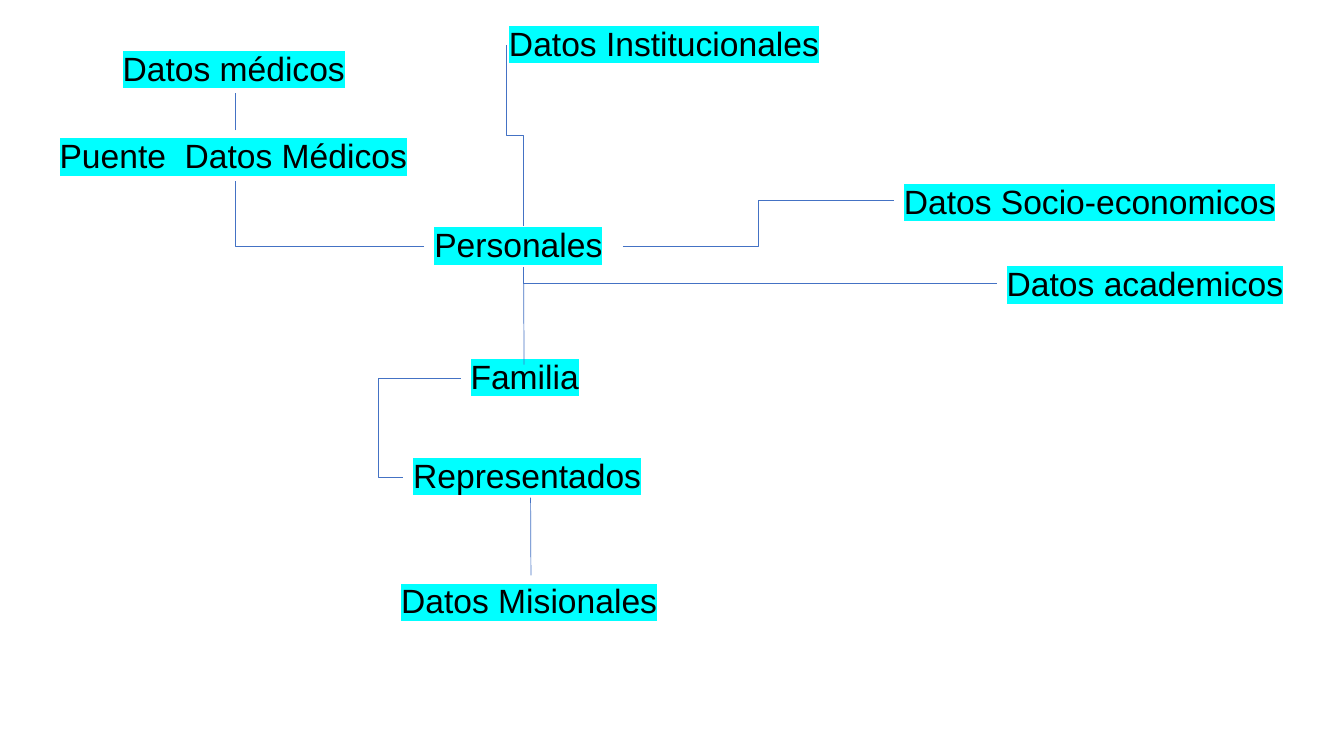
"""Build a slide that maps how the personal data tables are linked."""
from lxml import etree
from pptx import Presentation
from pptx import util as u
from pptx.dml.color import RGBColor
from pptx.enum import shapes, text
from pptx.oxml.ns import qn

INK, MARK, LINE = "000000", "00FFFF", "4472C4"
TITLE = "Personales"

# name: (left, top, width, height, wraps)
NODES = {
    TITLE: (303, 161.5, 142, 29.5, True),
    "Datos Institucionales": (356.5, 17.5, 247, 29.5, True),
    "Datos academicos": (712, 184.5, 214, 36, False),
    "Datos Socio-economicos": (638.5, 125.5, 286, 36, False),
    "Datos Misionales": (279.5, 411, 199.5, 36, False),
    "Datos médicos": (80.5, 30.5, 175, 36, False),
    "Puente  Datos Médicos": (35.5, 93, 265, 36, False),
    "Representados": (288, 326, 182, 29.5, True),
    "Familia": (329, 255.5, 162, 29.5, True),
}

LEFT, RIGHT, TOP, BOTTOM = (0, 0.5), (1, 0.5), (0.5, 0), (0.5, 1)

# (from node, site, to node, site, preset, upright, bend)
LINKS = [
    (TITLE, TOP, "Datos Institucionales", (0.02, 0.5), "bentConnector3", True, None),
    (TITLE, LEFT, "Puente  Datos Médicos", BOTTOM, "bentConnector2", False, None),
    ("Puente  Datos Médicos", TOP, "Datos médicos", BOTTOM, "line", False, None),
    (TITLE, RIGHT, "Datos Socio-economicos", LEFT, "bentConnector3", False, None),
    ("Datos academicos", LEFT, TITLE, BOTTOM, "bentConnector2", False, None),
    (TITLE, BOTTOM, "Familia", (0.28, 0.17), "line", False, None),
    ("Familia", LEFT, "Representados", LEFT, "bentConnector3", False, 1.44),
    ("Representados", BOTTOM, "Datos Misionales", TOP, "line", False, None),
]


def rgb(value):
    return RGBColor.from_string(value)


def write(sp, name, wraps):
    tf = sp.text_frame
    tf.text = name
    tf.word_wrap = wraps
    tf.auto_size = text.MSO_AUTO_SIZE.NONE if wraps else text.MSO_AUTO_SIZE.SHAPE_TO_FIT_TEXT
    tf.vertical_anchor = text.MSO_ANCHOR.MIDDLE if wraps else text.MSO_ANCHOR.TOP
    p = tf.paragraphs[0]
    p.alignment = text.PP_ALIGN.LEFT
    p.line_spacing = 0.9 if wraps else 1.0
    r = p.runs[0]
    r.font.size, r.font.name = u.Pt(24), "Arial"
    r.font.color.rgb = rgb(INK)
    mark = etree.Element(qn("a:highlight"))
    etree.SubElement(mark, qn("a:srgbClr")).set("val", MARK)
    r.font._element.find(qn("a:solidFill")).addnext(mark)


def add_node(s, name, left, top, width, height, wraps):
    box = [u.Pt(v) for v in (left, top, width, height)]
    if name == TITLE:
        sp = s.shapes.title
        sp.left, sp.top, sp.width, sp.height = box
    else:
        sp = s.shapes.add_textbox(*box)
    write(sp, name, wraps)


def site_point(name, site):
    left, top, width, height, _ = NODES[name]
    return left + site[0] * width, top + site[1] * height


def add_link(s, start, start_site, end, end_site, preset, upright, bend):
    x1, y1 = site_point(start, start_site)
    x2, y2 = site_point(end, end_site)
    if upright:
        cx, cy = (x1 + x2) / 2, (y1 + y2) / 2
        dx, dy = (y1 - y2) / 2, (x2 - x1) / 2
        x1, y1, x2, y2 = cx - dx, cy - dy, cx + dx, cy + dy
    cn = s.shapes.add_connector(
        shapes.MSO_CONNECTOR.ELBOW, *[u.Pt(v) for v in (x1, y1, x2, y2)])
    cn.line.color.rgb = rgb(LINE)
    cn.line.width = u.Pt(0.5)
    pr = cn._element.spPr
    etree.SubElement(pr, qn("a:effectLst"))
    geom = pr.find(qn("a:prstGeom"))
    geom.set("prst", preset)
    if upright:
        pr.find(qn("a:xfrm")).set("rot", str(270 * 60000))
    if bend:
        guide = etree.SubElement(geom.find(qn("a:avLst")), qn("a:gd"))
        guide.set("name", "adj1")
        guide.set("fmla", f"val {round(bend * 100000)}")


prs = Presentation()
prs.slide_width, prs.slide_height = u.Pt(960), u.Pt(540)
s = prs.slides.add_slide(prs.slide_layouts[5])
for name, place in NODES.items():
    add_node(s, name, *place)
for link in LINKS:
    add_link(s, *link)
prs.save("out.pptx")
